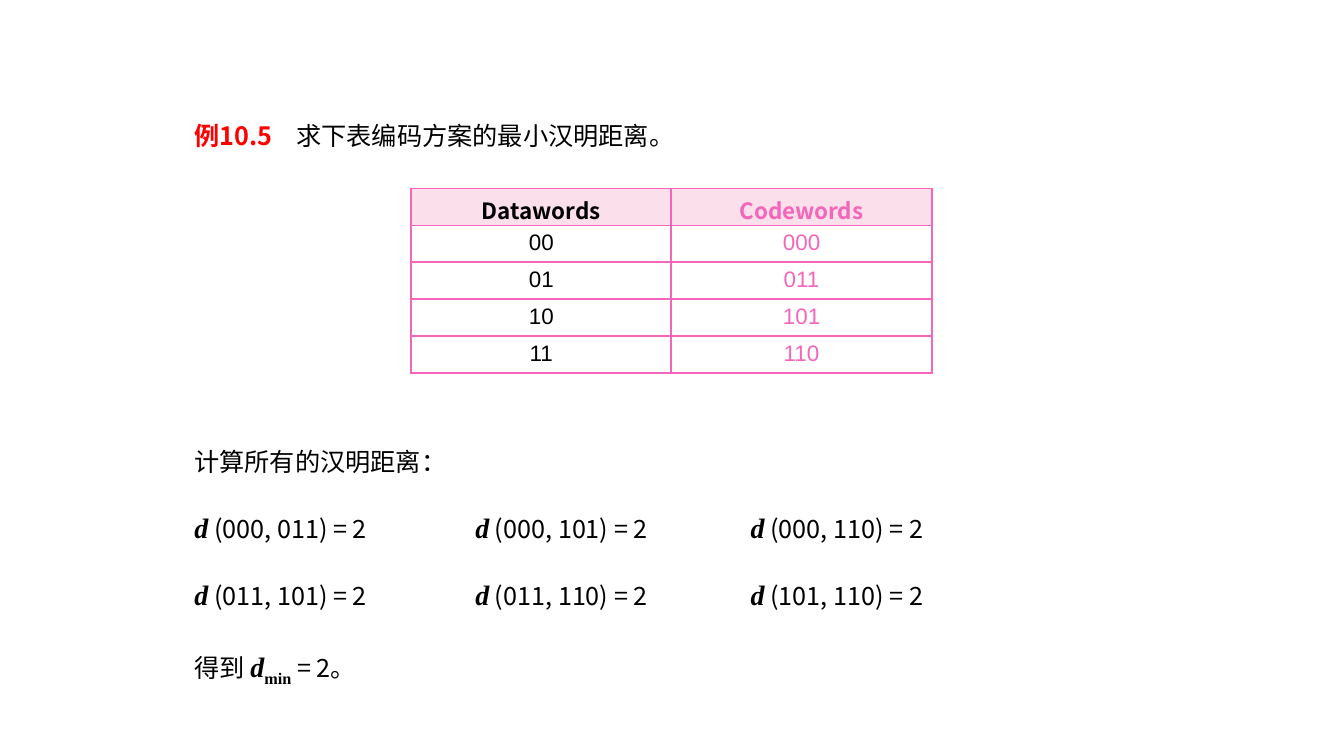
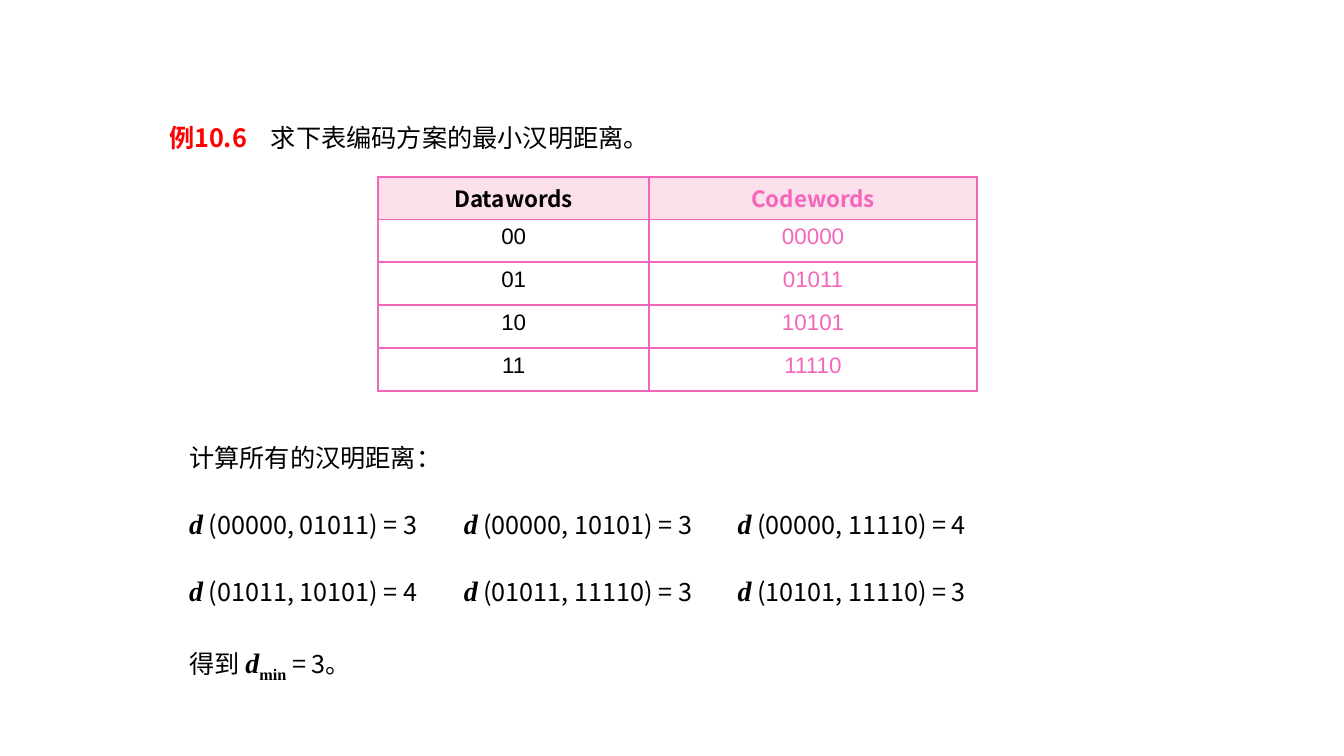
import itertools

import lxml.etree
import pptx
import pptx.dml.color
import pptx.enum.text
import pptx.oxml.ns
import pptx.util
from pptx.util import Cm

CJK_FONT = "Noto Sans CJK SC"
PINK = "F466BA"
PALE_PINK = "FBDFEB"
WHITE = "FFFFFF"
BLACK = "000000"

LABEL = dict(size=18, font=CJK_FONT, colour="FF0000", bold=True)
PLAIN = dict(size=18, font=CJK_FONT)
SYMBOL = dict(size=20, font="Times New Roman", bold=True, italic=True)
SUBSCRIPT = dict(size=20, font="Times New Roman", bold=True, baseline=-25000)
HEADER = dict(size=16, font=CJK_FONT, bold=True)
CODE = dict(size=16, font="Arial")

DATAWORDS = ["00", "01", "10", "11"]
TITLE_TABS = [2.57]

# Positions, sizes and tab stops are in centimetres.
EXAMPLES = [
    dict(label="例10.5", codewords=["000", "011", "101", "110"],
         title_box=(4.65, 2.9, 17.35, 1.07), body_box=(4.65, 10.36, 22.66, 6.65),
         body_tabs=[7.08, 14.02], table_at=(10.36, 4.75),
         columns=[6.56, 6.56], row_height=0.93),
    dict(label="例10.6", codewords=["00000", "01011", "10101", "11110"],
         title_box=(4.01, 2.97, 17.35, 1.07), body_box=(4.52, 10.26, 25.07, 6.65),
         body_tabs=[6.92, 13.82], table_at=(9.53, 4.45),
         columns=[6.83, 8.26], row_height=1.08),
]


def add_run(paragraph, text, size, font, colour=BLACK, bold=False, italic=False, baseline=0):
    run = paragraph.add_run()
    run.text = text
    run.font.size = pptx.util.Pt(size)
    run.font.bold = bold
    run.font.italic = italic
    run.font.color.rgb = pptx.dml.color.RGBColor.from_string(colour)
    run.font.name = font
    properties = run._r.get_or_add_rPr()
    lxml.etree.SubElement(properties, pptx.oxml.ns.qn("a:ea"), typeface=font)
    if baseline:
        properties.set("baseline", str(baseline))


def add_tabbed_text(slide, box, tab_stops, line_spacing, lines):
    """Add a text box; each line is a list of (text, style) runs."""
    frame = slide.shapes.add_textbox(*map(Cm, box)).text_frame
    frame.word_wrap = True
    frame.auto_size = pptx.enum.text.MSO_AUTO_SIZE.SHAPE_TO_FIT_TEXT
    for index, line in enumerate(lines):
        paragraph = frame.add_paragraph() if index else frame.paragraphs[0]
        paragraph.line_spacing = line_spacing
        tab_list = lxml.etree.SubElement(
            paragraph._p.get_or_add_pPr(), pptx.oxml.ns.qn("a:tabLst"))
        for position in tab_stops:
            lxml.etree.SubElement(
                tab_list, pptx.oxml.ns.qn("a:tab"), pos=str(Cm(position)), algn="l")
        for text, style in line:
            add_run(paragraph, text, **style)


presentation = pptx.Presentation()
presentation.slide_width = Cm(33.87)
presentation.slide_height = Cm(19.05)

for example in EXAMPLES:
    slide = presentation.slides.add_slide(presentation.slide_layouts[6])
    add_tabbed_text(slide, example["title_box"], TITLE_TABS, 1.0, [
        [(example["label"], LABEL), ("\t求下表编码方案的最小汉明距离。", PLAIN)]])

    # Hamming distance of every pair of codewords, three to a line
    lines = [[("计算所有的汉明距离：", PLAIN)]]
    distances = []
    for index, (first, second) in enumerate(itertools.combinations(example["codewords"], 2)):
        distance = sum(a != b for a, b in zip(first, second))
        distances.append(distance)
        if index % 3 == 0:
            lines.append([])
        else:
            lines[-1].append(("\t", PLAIN))
        lines[-1] += [("d", SYMBOL), (f" ({first}, {second}) = {distance}", PLAIN)]
    lines.append([("得到 ", PLAIN), ("d", SYMBOL), ("min", SUBSCRIPT),
                  (f" = {min(distances)}。", PLAIN)])
    add_tabbed_text(slide, example["body_box"], example["body_tabs"], 2.0, lines)

    rows = [("Datawords", "Codewords"), *zip(DATAWORDS, example["codewords"])]
    left, top = example["table_at"]
    table = slide.shapes.add_table(
        len(rows), 2, Cm(left), Cm(top), Cm(sum(example["columns"])),
        Cm(example["row_height"] * len(rows))).table
    table.first_row = False
    table.horz_banding = False
    for column, width in zip(table.columns, example["columns"]):
        column.width = Cm(width)
    for row_index, words in enumerate(rows):
        table.rows[row_index].height = Cm(example["row_height"])
        for column_index, word in enumerate(words):
            cell = table.cell(row_index, column_index)
            cell.margin_bottom = 0
            cell_properties = cell._tc.get_or_add_tcPr()
            for side in ("lnL", "lnR", "lnT", "lnB"):
                border = lxml.etree.SubElement(
                    cell_properties, pptx.oxml.ns.qn(f"a:{side}"), w=str(pptx.util.Pt(1.5)))
                border_fill = lxml.etree.SubElement(border, pptx.oxml.ns.qn("a:solidFill"))
                lxml.etree.SubElement(border_fill, pptx.oxml.ns.qn("a:srgbClr"), val=PINK)
            cell.fill.solid()
            cell.fill.fore_color.rgb = pptx.dml.color.RGBColor.from_string(
                WHITE if row_index else PALE_PINK)
            paragraph = cell.text_frame.paragraphs[0]
            paragraph.alignment = pptx.enum.text.PP_ALIGN.CENTER
            add_run(paragraph, word, colour=PINK if column_index else BLACK,
                    **(CODE if row_index else HEADER))

presentation.save("out.pptx")
